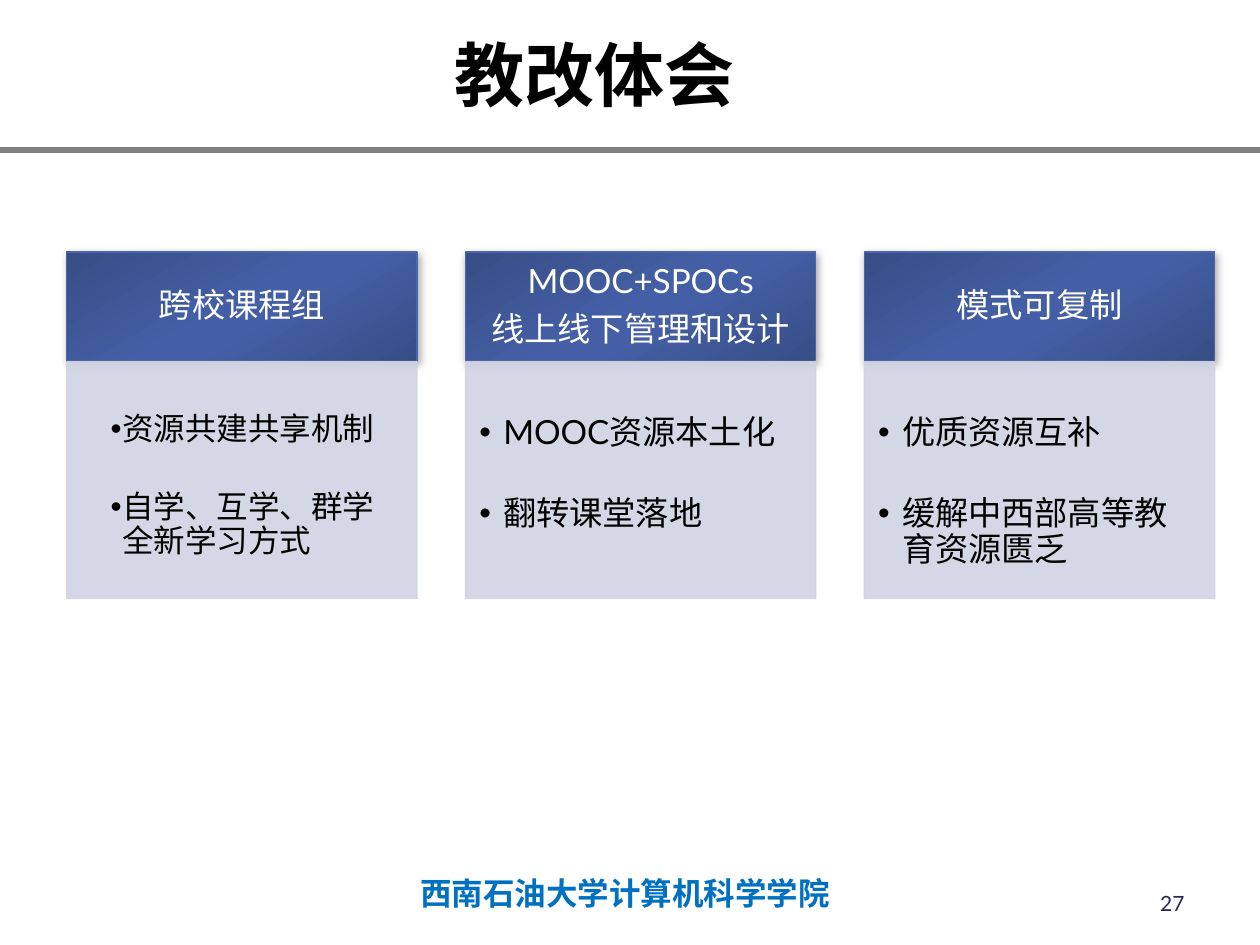
from lxml import etree
from pptx import Presentation
from pptx.dml.color import RGBColor
from pptx.enum.shapes import MSO_CONNECTOR, MSO_SHAPE
from pptx.enum.text import MSO_ANCHOR as Anchor, PP_ALIGN as Align
from pptx.oxml import parse_xml
from pptx.oxml.ns import nsdecls, qn
from pptx.util import Inches, Pt

# Content: header lines, bullets, body size, bullet hang, text start
COLUMNS = [
    {"header": ["跨校课程组"],
     "bullets": ["资源共建共享机制", "自学、互学、群学\v全新学习方式"],
     "size": 18, "start": 0.34, "hang": 0.09, "insets": (0.1, 0.41, 0.14, 0.16), "gap": 25},
    {"header": ["MOOC+SPOCs", "线上线下管理和设计"],
     "bullets": ["MOOC资源本土化", "翻转课堂落地"],
     "size": 19, "start": 0.19, "hang": 0.19, "insets": (0.11, 0.43, 0.15, 0.17), "gap": 26},
    {"header": ["模式可复制"],
     "bullets": ["优质资源互补", "缓解中西部高等教育资源匮乏"],
     "size": 19, "start": 0.19, "hang": 0.19, "insets": (0.11, 0.43, 0.15, 0.17), "gap": 26},
]

BLACK = RGBColor(0x00, 0x00, 0x00)
WHITE = RGBColor(0xFF, 0xFF, 0xFF)
GRAY = RGBColor(0x80, 0x80, 0x80)
NAVY = RGBColor(0x24, 0x28, 0x52)
FOOTER_BLUE = RGBColor(0x00, 0x70, 0xC0)
HEADER_EDGE = RGBColor(0x4A, 0x66, 0xAC)
HEADER_DARK = RGBColor(0x37, 0x4D, 0x85)
HEADER_LIGHT = RGBColor(0x44, 0x5F, 0xA5)
PALE = RGBColor(0xD0, 0xD3, 0xE3)
HEADER_STOPS = [(0, HEADER_DARK), (48, HEADER_LIGHT), (58, HEADER_LIGHT), (100, HEADER_DARK)]

LEFT, PITCH, WIDTH = 0.53, 3.165, 2.78
TOP, HEADER_HEIGHT, BODY_HEIGHT = 2, 0.87, 1.88
CJK = "Noto Sans CJK SC"


def style_font(paragraph, size, color, name="Lato", bold=False):
    for run in paragraph.runs:
        font = run.font
        font.size, font.name, font.bold = Pt(size), name, bold
        font.color.rgb = color
        etree.SubElement(run._r.get_or_add_rPr(), qn("a:ea"), typeface=CJK)


def set_insets(text_frame, left, top, right, bottom):
    text_frame.margin_left, text_frame.margin_top = Inches(left), Inches(top)
    text_frame.margin_right, text_frame.margin_bottom = Inches(right), Inches(bottom)


def add_label(slide, box, text, align, size, color, **font):
    label = slide.shapes.add_textbox(*map(Inches, box))
    text_frame = label.text_frame
    text_frame.word_wrap = True
    text_frame.vertical_anchor = Anchor.MIDDLE
    text_frame.text = text
    paragraph = text_frame.paragraphs[0]
    paragraph.alignment = align
    style_font(paragraph, size, color, **font)


def add_panel(slide, left, top, height, edge, insets, anchor, lines):
    panel = slide.shapes.add_shape(
        MSO_SHAPE.RECTANGLE, Inches(left), Inches(top), Inches(WIDTH), Inches(height))
    panel.shadow.inherit = False
    panel.fill.solid()
    panel.fill.fore_color.rgb = PALE
    panel.line.color.rgb = edge
    panel.line.width = Pt(0.79)
    text_frame = panel.text_frame
    text_frame.word_wrap = True
    text_frame.vertical_anchor = anchor
    set_insets(text_frame, *insets)
    text_frame.text = "\n".join(lines)
    for paragraph in text_frame.paragraphs:
        paragraph.line_spacing = 0.9
    return panel


def add_gradient_and_shadow(shape):
    properties = shape._element.spPr
    stops = "".join(f'<a:gs pos="{position * 1000}"><a:srgbClr val="{color}"/></a:gs>'
                    for position, color in HEADER_STOPS)
    gradient = parse_xml(f'<a:gradFill {nsdecls("a")} rotWithShape="1"><a:gsLst>{stops}</a:gsLst>'
                         f'<a:lin ang="{60 * 60000}" scaled="0"/></a:gradFill>')
    properties.replace(properties.find(qn("a:solidFill")), gradient)
    shadow = etree.SubElement(properties.find(qn("a:effectLst")), qn("a:outerShdw"),
                              blurRad=str(Pt(5)), dist=str(Pt(2)), dir=str(60 * 60000),
                              algn="tl", rotWithShape="0")
    color = etree.SubElement(shadow, qn("a:srgbClr"), val=str(BLACK))
    etree.SubElement(color, qn("a:alpha"), val="36000")


def add_bullet(paragraph, start, hang):
    properties = paragraph._p.get_or_add_pPr()
    properties.set("marL", str(Inches(start)))
    properties.set("indent", str(-Inches(hang)))
    etree.SubElement(properties, qn("a:buFont"), typeface="Arial")
    etree.SubElement(properties, qn("a:buChar"), char="•")


def add_column(slide, left, column):
    # Header
    header = add_panel(slide, left, TOP, HEADER_HEIGHT, HEADER_EDGE,
                       (0.15, 0.08, 0.15, 0.08), Anchor.MIDDLE, column["header"])
    add_gradient_and_shadow(header)
    for paragraph in header.text_frame.paragraphs:
        paragraph.alignment = Align.CENTER
        paragraph.space_after = Pt(6.6)
        style_font(paragraph, 19, WHITE)

    # Body
    body = add_panel(slide, left, TOP + HEADER_HEIGHT, BODY_HEIGHT, PALE,
                     column["insets"], Anchor.TOP, column["bullets"])
    for color in body._element.spPr.iter(qn("a:srgbClr")):
        etree.SubElement(color, qn("a:alpha"), val="90000")
    for paragraph in body.text_frame.paragraphs:
        paragraph.alignment = Align.LEFT
        paragraph.space_after = Pt(column["gap"])
        add_bullet(paragraph, column["start"], column["hang"])
        style_font(paragraph, column["size"], BLACK)


def main():
    presentation = Presentation()
    presentation.slide_width, presentation.slide_height = Inches(10), Inches(7.5)
    slide = presentation.slides.add_slide(presentation.slide_layouts[6])

    # Rule under the title
    rule = slide.shapes.add_connector(
        MSO_CONNECTOR.STRAIGHT, 0, Inches(1.19), Inches(10), Inches(1.19))
    rule.line.color.rgb = GRAY
    rule.line.width = Pt(3)
    etree.SubElement(rule._element.spPr, qn("a:effectLst"))

    # Title, footer and page number
    add_label(slide, (0.5, -0.03, 8.44, 1.22), "教改体会", Align.CENTER, 40, BLACK,
              name="Arial", bold=True)
    add_label(slide, (3.03, 6.9, 3.86, 0.37), "西南石油大学计算机科学学院", Align.CENTER, 18,
              FOOTER_BLUE, name=CJK, bold=True)
    add_label(slide, (7.17, 6.97, 2.33, 0.4), "27", Align.RIGHT, 12, NAVY)

    for index, column in enumerate(COLUMNS):
        add_column(slide, LEFT + index * PITCH, column)

    presentation.save("out.pptx")


if __name__ == "__main__":
    main()
